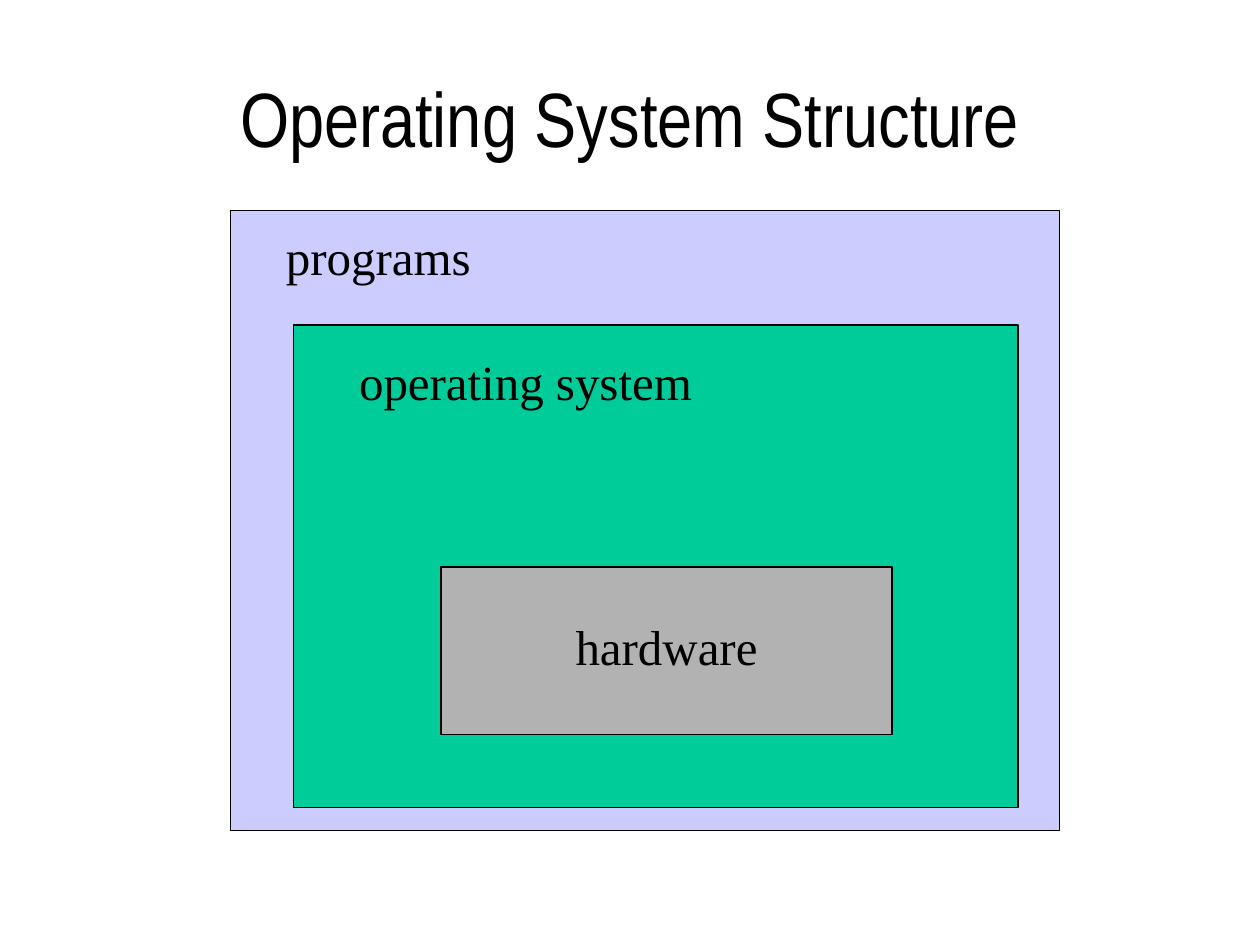
from dataclasses import dataclass

from pptx import Presentation
from pptx.dml.color import RGBColor
from pptx.enum.shapes import MSO_SHAPE
from pptx.enum.text import MSO_ANCHOR, MSO_AUTO_SIZE, PP_ALIGN
from pptx.util import Inches, Pt


@dataclass(frozen=True)
class Theme:
    ink: RGBColor = RGBColor.from_string("000000")
    programs: RGBColor = RGBColor.from_string("CCCCFF")
    system: RGBColor = RGBColor.from_string("00CC99")
    hardware: RGBColor = RGBColor.from_string("B2B2B2")
    title_font: str = "Arial Narrow"
    label_font: str = "Times New Roman"
    title_size: Pt = Pt(44)
    label_size: Pt = Pt(28)
    outline: Pt = Pt(0.75)


theme = Theme()


def write(frame, text, font, size, align, spacing):
    para = frame.paragraphs[0]
    para.alignment = align
    para.line_spacing = spacing
    span = para.add_run()
    span.text = text
    span.font.name = font
    span.font.size = size
    span.font.color.rgb = theme.ink


def add_block(page, area):
    """Add a square-cornered block without shadow."""
    block = page.shapes.add_shape(MSO_SHAPE.ROUNDED_RECTANGLE, *map(Inches, area))
    block.adjustments[0] = 0
    block.shadow.inherit = False
    return block


deck = Presentation()
deck.slide_width, deck.slide_height = Inches(10), Inches(7.5)
page = deck.slides.add_slide(deck.slide_layouts[5])

title = page.shapes.title
title.left, title.top = Inches(0.75), Inches(0.18)
title.width, title.height = Inches(8.5), Inches(1.55)
title.text_frame.vertical_anchor = MSO_ANCHOR.MIDDLE
write(title.text_frame, "Operating System Structure",
      theme.title_font, theme.title_size, PP_ALIGN.CENTER, 0.97)

# Layers from outermost to innermost: label, fill, layer area, label area, left inset
layers = [
    ("programs", theme.programs, (1.83, 1.67, 6.58, 4.92),
     (2.17, 1.83, 1.68, 0.49), 0.1),
    ("operating system", theme.system, (2.33, 2.58, 5.75, 3.83),
     (2.65, 2.82, 2.96, 0.49), 0.2),
    ("hardware", theme.hardware, (3.5, 4.5, 3.58, 1.33),
     (3.5, 4.92, 3.58, 0.49), 0.1),
]
for name, fill, layer_area, label_area, inset in layers:
    layer = add_block(page, layer_area)
    layer.fill.solid()
    layer.fill.fore_color.rgb = fill
    layer.line.color.rgb = theme.ink
    layer.line.width = theme.outline

    if name == "hardware":
        label = page.shapes.add_textbox(*map(Inches, label_area))
        align, anchor = PP_ALIGN.CENTER, MSO_ANCHOR.MIDDLE
    else:
        label = add_block(page, label_area)
        label.fill.background()
        label.line.fill.background()
        align, anchor = PP_ALIGN.LEFT, MSO_ANCHOR.TOP
    frame = label.text_frame
    frame.word_wrap = True
    frame.auto_size = MSO_AUTO_SIZE.SHAPE_TO_FIT_TEXT
    frame.vertical_anchor = anchor
    frame.margin_left = Inches(inset)
    write(frame, name, theme.label_font, theme.label_size, align, 0.82)

deck.save("out.pptx")
